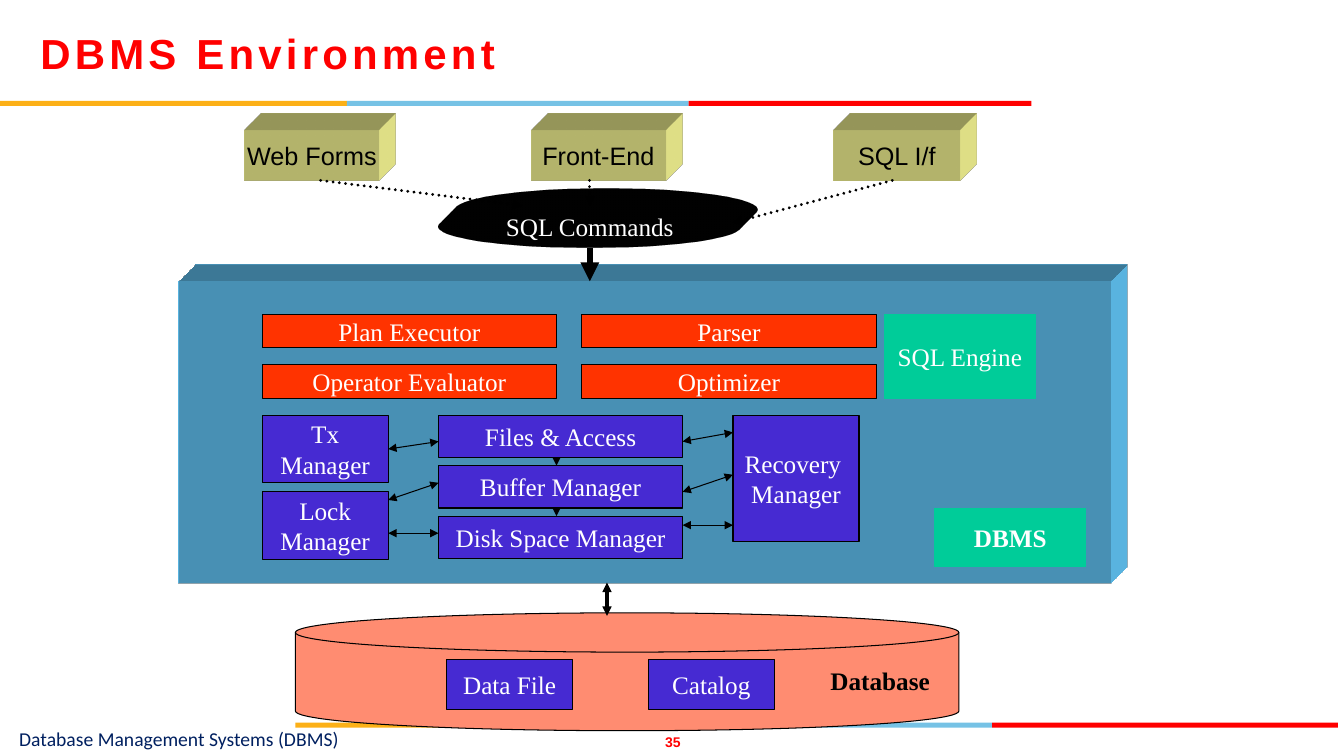
import pptx
import pptx.dml.color
import pptx.enum.dml
import pptx.enum.shapes
import pptx.enum.text
import pptx.oxml
import pptx.oxml.ns
import pptx.util
from pptx.util import Inches

RGBColor = pptx.dml.color.RGBColor
Shape = pptx.enum.shapes.MSO_SHAPE
Align = pptx.enum.text.PP_ALIGN

BLACK = RGBColor(0x00, 0x00, 0x00)
WHITE = RGBColor(0xFF, 0xFF, 0xFF)
RED = RGBColor(0xFF, 0x00, 0x00)
AMBER = RGBColor(0xFC, 0xB0, 0x17)
SKY = RGBColor(0x76, 0xC2, 0xE5)
NAVY = RGBColor(0x00, 0x20, 0x60)
ENGINE_BLUE = RGBColor(0x66, 0xCC, 0xFF)
SALMON = RGBColor(0xFF, 0x8C, 0x71)
ORANGE = RGBColor(0xFF, 0x33, 0x00)
GREEN = RGBColor(0x00, 0xCC, 0x99)
VIOLET = RGBColor(0x46, 0x2A, 0xD2)
CREAM = RGBColor(0xFF, 0xFF, 0x99)

SERIF = "Times New Roman"
SANS = "Arial"


def write(shape, text, font=SERIF, size=18, color=WHITE, bold=False,
          align=Align.CENTER, wrap=False, inset=None, spacing=None):
    frame = shape.text_frame
    frame.word_wrap = wrap
    frame.vertical_anchor = pptx.enum.text.MSO_ANCHOR.MIDDLE
    if inset is not None:
        frame.margin_left = frame.margin_right = Inches(inset)
        frame.margin_top = frame.margin_bottom = Inches(inset)
    for index, line in enumerate(text.split("\n")):
        para = frame.add_paragraph() if index else frame.paragraphs[0]
        para.alignment = align
        span = para.add_run()
        span.text = line
        span.font.name = font
        span.font.size = pptx.util.Pt(size)
        span.font.bold = bold
        span.font.color.rgb = color
        if spacing:
            span.font._element.set("spc", str(spacing * 100))


class Diagram:
    """Draws the styled elements of the diagram on the current page."""

    def __init__(self, page):
        self.shapes = page.shapes

    def box(self, left, top, width, height, fill, text="", line=None,
            kind=Shape.RECTANGLE, **style):
        box = self.shapes.add_shape(kind, Inches(left), Inches(top),
                                    Inches(width), Inches(height))
        box.shadow.inherit = False
        box.fill.solid()
        box.fill.fore_color.rgb = fill
        if line is None:
            box.line.fill.background()
        else:
            box.line.color.rgb = line
            box.line.width = pptx.util.Pt(0.75)
        if text:
            write(box, text, **style)
        return box

    def block(self, left, top, width, height, fill, text="", **style):
        block = self.box(left, top, width, height, fill, text, **style)
        space = pptx.oxml.ns.nsdecls("a")
        properties = block._element.spPr
        properties.append(pptx.oxml.parse_xml(
            f'<a:scene3d {space}><a:camera prst="legacyObliqueTopRight"/>'
            '<a:lightRig rig="legacyFlat3" dir="b"/></a:scene3d>'))
        properties.append(pptx.oxml.parse_xml(
            f'<a:sp3d {space} extrusionH="430200" prstMaterial="legacyMatte">'
            '<a:bevelT w="13500" h="13500" prst="angle"/>'
            '<a:bevelB w="13500" h="13500" prst="angle"/>'
            f'<a:extrusionClr><a:srgbClr val="{fill}"/></a:extrusionClr></a:sp3d>'))
        return block

    def label(self, left, top, width, height, text, **style):
        label = self.shapes.add_textbox(Inches(left), Inches(top),
                                        Inches(width), Inches(height))
        write(label, text, inset=0, **style)

    def arrow(self, start, end, width=0.75, both=False, dotted=False):
        arrow = self.shapes.add_connector(
            pptx.enum.shapes.MSO_CONNECTOR.STRAIGHT,
            *(Inches(value) for value in start + end))
        arrow.line.color.rgb = BLACK
        arrow.line.width = pptx.util.Pt(width)
        if dotted:
            arrow.line.dash_style = pptx.enum.dml.MSO_LINE.ROUND_DOT
            arrow.line._ln.set("cap", "rnd")
        space = pptx.oxml.ns.nsdecls("a")
        for tag in ("headEnd", "tailEnd") if both else ("tailEnd",):
            arrow.line._ln.append(
                pptx.oxml.parse_xml(f'<a:{tag} {space} type="triangle"/>'))
        arrow._element.spPr.append(pptx.oxml.parse_xml(f"<a:effectLst {space}/>"))
        return arrow

    def stripe(self, left, top, widths):
        for width, color in zip(widths, (AMBER, SKY, RED)):
            self.box(left, top, width, 0.05, color)
            left += width


def main():
    deck = pptx.Presentation()
    deck.slide_width = Inches(13.33)
    deck.slide_height = Inches(7.5)
    page = deck.slides.add_slide(deck.slide_layouts[6])
    diagram = Diagram(page)

    diagram.stripe(0, 1, (3.44, 3.39, 3.4))
    diagram.stripe(2.93, 7.17, (3.48, 3.43, 3.43))
    diagram.label(6.51, 7.28, 0.33, 0.17, "35", font=SANS, size=10, color=RED,
                  bold=True, wrap=True)
    diagram.label(0.19, 7.19, 4.96, 0.27, "Database Management Systems (DBMS)",
                  font="Calibri", size=14, color=NAVY, align=Align.LEFT, wrap=True)
    diagram.label(0.4, 0.1, 9.53, 0.85, "DBMS Environment", font=SANS, size=30,
                  color=RED, bold=True, align=Align.LEFT, wrap=True, spacing=3)

    diagram.block(1.77, 2.79, 9.25, 3, ENGINE_BLUE)
    diagram.box(2.93, 6.08, 6.58, 1.17, SALMON, line=BLACK,
                kind=Shape.FLOWCHART_MAGNETIC_DISK)

    engine_rows = (("Plan Executor", "Parser"), ("Operator Evaluator", "Optimizer"))
    for row, names in enumerate(engine_rows):
        for column, name in enumerate(names):
            diagram.box(2.6 + 3.17 * column, 3.12 + 0.5 * row, 2.92, 0.33,
                        ORANGE, name, line=BLACK)
    diagram.box(8.77, 3.12, 1.5, 0.83, GREEN, "SQL Engine", line=GREEN)

    diagram.box(7.27, 4.12, 1.25, 1.25, VIOLET, "Recovery \nManager", line=BLACK)
    diagram.box(2.6, 4.88, 1.25, 0.67, VIOLET, "Lock\nManager", line=BLACK)
    tx_manager = diagram.box(2.6, 4.12, 1.25, 0.67, VIOLET, "Tx\nManager",
                             line=BLACK)
    layers = ("Files & Access", "Buffer Manager", "Disk Space Manager")
    for row, name in enumerate(layers):
        diagram.box(4.35, 4.12 + 0.5 * row, 2.42, 0.42, VIOLET, name, line=BLACK)

    tx_arrow = diagram.arrow((3.85, 4.46), (4.35, 4.38), both=True)
    tx_arrow.begin_connect(tx_manager, 3)
    for left, start, end in ((3.85, 5.29, 5.29), (3.85, 4.96, 4.79),
                             (6.77, 4.38, 4.29), (6.77, 5.21, 5.21),
                             (6.77, 4.88, 4.71)):
        diagram.arrow((left, start), (left + 0.5, end), both=True)

    diagram.box(9.27, 5.04, 1.5, 0.58, GREEN, "DBMS", line=GREEN, bold=True)
    for left, name in ((4.43, "Data File"), (6.43, "Catalog")):
        diagram.box(left, 6.54, 1.25, 0.5, VIOLET, name, line=BLACK)
    diagram.label(8.18, 6.46, 1.1, 0.58, "Database", color=BLACK, bold=True)

    for left, width, name in ((2.43, 1.33, "Web Forms"), (5.27, 1.33, "Front-End"),
                              (8.27, 1.25, "SQL I/f")):
        diagram.block(left, 1.29, width, 0.5, CREAM, name, font=SANS, color=BLACK)
    diagram.block(4.35, 2.04, 3, 0.42, BLACK, "SQL Commands", kind=Shape.OVAL)

    for start, end in ((3.18, (5.18, 2.04)), (5.85, (5.85, 2.04)),
                       (8.85, (7.27, 2.21))):
        diagram.arrow((start, 1.79), end, width=2.25, dotted=True)
    diagram.arrow((5.85, 2.46), (5.85, 2.79), width=4.5)
    diagram.arrow((6.02, 5.78), (6.02, 6.11), width=2.25, both=True)
    for top in (4.54, 5.04):
        diagram.arrow((5.52, top), (5.52, top + 0.08))

    deck.save("out.pptx")


if __name__ == "__main__":
    main()
